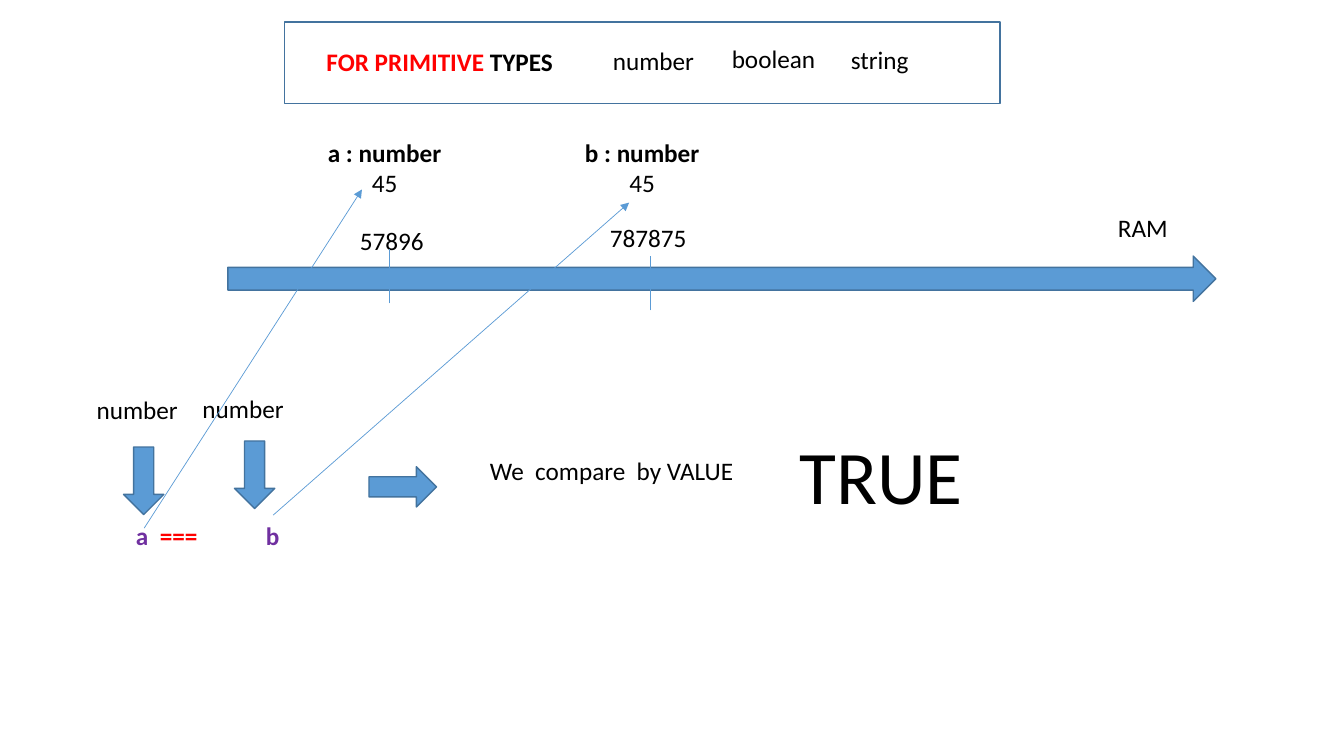
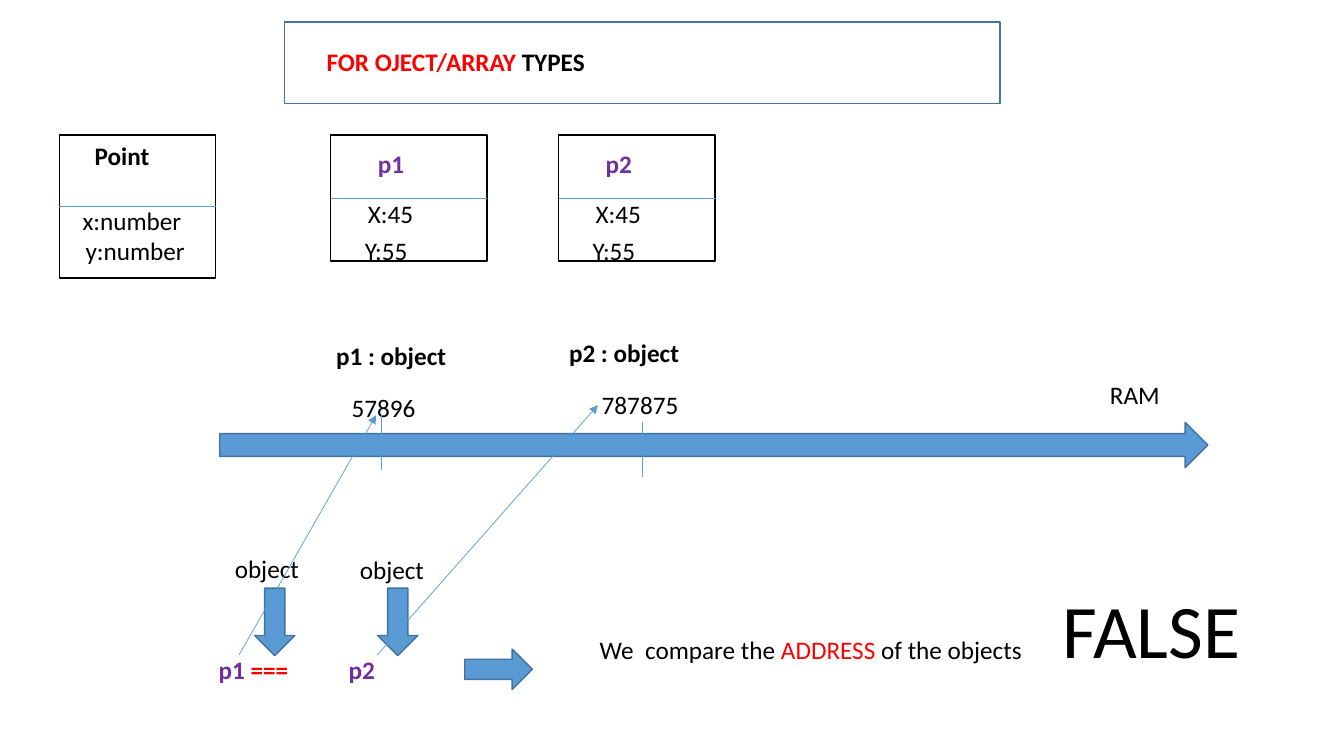
import dataclasses

import lxml.etree
import pptx
import pptx.dml.color
import pptx.enum.shapes
import pptx.enum.text
import pptx.oxml.ns
import pptx.util

Inches = pptx.util.Inches
Pt = pptx.util.Pt
Shape = pptx.enum.shapes.MSO_SHAPE
Align = pptx.enum.text.PP_ALIGN
qn = pptx.oxml.ns.qn


@dataclasses.dataclass(frozen=True)
class Theme:
    font: str = "Calibri"
    body: int = 18
    verdict: int = 54
    outline: float = 1
    hairline: float = 0.5
    ink: str = "000000"
    paper: str = "FFFFFF"
    accent: str = "5B9BD5"
    edge: str = "43739E"
    name: str = "7030A0"
    alert: str = "FF0000"


THEME = Theme()


def rgb(value):
    return pptx.dml.color.RGBColor.from_string(value)


def add_text(s, x, y, w, *lines, h=0.4, size=THEME.body, bold=False, align=Align.LEFT):
    tf = s.shapes.add_textbox(Inches(x), Inches(y), Inches(w), Inches(h)).text_frame
    tf.word_wrap = False
    tf.auto_size = pptx.enum.text.MSO_AUTO_SIZE.SHAPE_TO_FIT_TEXT
    for i, line in enumerate(lines):
        p = tf.paragraphs[0] if i == 0 else tf.add_paragraph()
        p.alignment = align
        p.font.name = THEME.font
        p.font.size = Pt(size)
        p.font.bold = bold and i == 0
        runs = [(line, THEME.ink)] if isinstance(line, str) else line
        for text, color in runs:
            r = p.add_run()
            r.text = text
            r.font.color.rgb = rgb(color)


def add_block(s, kind, x, y, w, h, fill=THEME.accent, line=THEME.edge, rotation=0):
    sp = s.shapes.add_shape(kind, Inches(x), Inches(y), Inches(w), Inches(h))
    sp.shadow.inherit = False
    sp.rotation = rotation
    if fill is None:
        sp.fill.background()
    else:
        sp.fill.solid()
        sp.fill.fore_color.rgb = rgb(fill)
    sp.line.color.rgb = rgb(line)
    sp.line.width = Pt(THEME.outline)


def add_line(s, x1, y1, x2, y2, arrow=False):
    sp = s.shapes.add_connector(
        pptx.enum.shapes.MSO_CONNECTOR.STRAIGHT,
        Inches(x1), Inches(y1), Inches(x2), Inches(y2),
    )
    sp.line.color.rgb = rgb(THEME.accent)
    sp.line.width = Pt(THEME.hairline)
    if arrow:
        lxml.etree.SubElement(sp.line._get_or_add_ln(), qn("a:tailEnd"), type="triangle")
    lxml.etree.SubElement(sp._element.spPr, qn("a:effectLst"))


def add_small_arrow(s, x, y, rotation=0):
    add_block(s, Shape.RIGHT_ARROW, x, y, 0.67, 0.4, rotation=rotation)


def add_header(s, title, w, types=()):
    x, y = 2.82, 0.22
    add_block(s, Shape.RECTANGLE, x, y, 7.1, 0.81, fill=None)
    add_text(s, x + 0.32, y + 0.19, w, title, bold=True)
    for i, (name, dy, width) in enumerate(types):
        add_text(s, x + 3.16 + 1.18 * i, y + dy, width, name)


def add_memory(s, x, y):
    add_block(s, Shape.RIGHT_ARROW, x, y, 9.8, 0.45)
    add_text(s, x + 8.73, y - 0.48, 0.7, "RAM")
    cells = (("57896", 1.21, -0.35, 0.84, 1.6, -0.07),
             ("787875", 3.69, -0.38, 0.97, 4.19, 0))
    for address, dx, dy, w, tick, top in cells:
        add_text(s, x + dx, y + dy, w, address)
        add_line(s, x + tick, y + top + 0.54, x + tick, y + top)


def add_card(s, x, y, h, split, title, fields):
    w = 1.55
    text, color, dx, dy, width = title
    add_block(s, Shape.RECTANGLE, x, y, w, h, fill=THEME.paper, line=THEME.ink)
    add_line(s, x, y + split, x + w, y + split)
    add_text(s, x + dx, y + dy, width, [(text, color)], bold=True)
    for field, dx, dy, width in fields:
        add_text(s, x + dx, y + dy, width, field)


def add_comparison(s, x, y, operands, types, downs, step, reason, verdict):
    left, left_w, right, right_w = operands
    add_text(s, x, y, left_w, [(left, THEME.name), ("===", THEME.alert)], bold=True)
    add_text(s, x + 1.29, y, right_w, [(right, THEME.name)], bold=True)
    type_name, type_w, type_spots = types
    for dx, dy in type_spots:
        add_text(s, x + dx, y + dy, type_w, type_name)
    for dx, dy in downs:
        add_small_arrow(s, x + dx, y + dy, rotation=90)
    add_small_arrow(s, x + step[0], y + step[1])
    text, dx, dy, w = reason
    add_text(s, x + dx, y + dy, w, text)
    text, dx, dy, w = verdict
    add_text(s, x + dx, y + dy, w, text, h=1.01, size=THEME.verdict)


def build_primitive_slide(s):
    add_header(s, [("FOR PRIMITIVE", THEME.alert), (" TYPES", THEME.ink)], 2.47,
               (("number", 0.18, 1.02), ("boolean", 0.16, 1.04), ("string", 0.17, 0.78)))
    add_memory(s, 2.26, 2.54)
    for name, x, w in (("a", 3.13, 1.37), ("b", 5.7, 1.34)):
        add_text(s, x, 1.31, w, f"{name} : number", "45", h=0.71, bold=True, align=Align.CENTER)
    add_comparison(
        s, 1.25, 5.11,
        operands=("a  ", 0.85, "b", 0.34),
        types=("number", 1.02, ((-0.39, -1.25), (0.66, -1.26))),
        downs=((-0.16, -0.54), (0.94, -0.6)),
        step=(2.41, -0.48),
        reason=("We  compare  by VALUE", 3.51, -0.64, 2.65),
        verdict=("TRUE", 6.58, -0.9, 1.84),
    )
    add_line(s, 2.71, 5.11, 6.24, 2.01, arrow=True)
    add_line(s, 1.43, 5.24, 3.59, 1.88, arrow=True)


def build_object_slide(s):
    add_header(s, [("FOR OJECT/ARRAY ", THEME.alert), ("TYPES", THEME.ink)], 2.79)
    add_memory(s, 2.18, 4.19)
    add_card(s, 0.59, 1.34, 1.42, 0.71, ("Point", THEME.ink, 0.25, 0, 0.75),
             (("x:number", 0.13, 0.65, 1.19), ("y:number", 0.16, 0.95, 1.19)))
    for name, card_x, label_x, label_y in (("p1", 3.28, 3.23, 3.33), ("p2", 5.54, 5.54, 3.3)):
        add_card(s, card_x, 1.34, 1.25, 0.63, (name, THEME.name, 0.37, 0.08, 0.46),
                 (("X:45", 0.27, 0.58, 0.66), ("Y:55", 0.24, 0.95, 0.63)))
        add_text(s, label_x, label_y, 1.3, f"{name} : object", bold=True, align=Align.CENTER)
    reason = [("We  compare the ", THEME.ink), ("ADDRESS", THEME.alert),
              (" of the objects", THEME.ink)]
    add_comparison(
        s, 2.07, 6.44,
        operands=("p1 ", 0.9, "p2", 0.46),
        types=("object", 0.85, ((0.16, -1), (1.4, -0.99))),
        downs=((0.32, -0.47), (1.54, -0.47)),
        step=(2.54, 0),
        reason=(reason, 3.78, -0.2, 4.44),
        verdict=("FALSE", 8.37, -0.71, 1.98),
    )
    add_line(s, 2.37, 6.5, 3.73, 4.12, arrow=True)
    add_line(s, 3.74, 6.5, 5.93, 4.02, arrow=True)


def main():
    prs = pptx.Presentation()
    prs.slide_width = Inches(13.33)
    prs.slide_height = Inches(7.5)
    for build in (build_primitive_slide, build_object_slide):
        build(prs.slides.add_slide(prs.slide_layouts[6]))
    prs.save("out.pptx")


if __name__ == "__main__":
    main()
